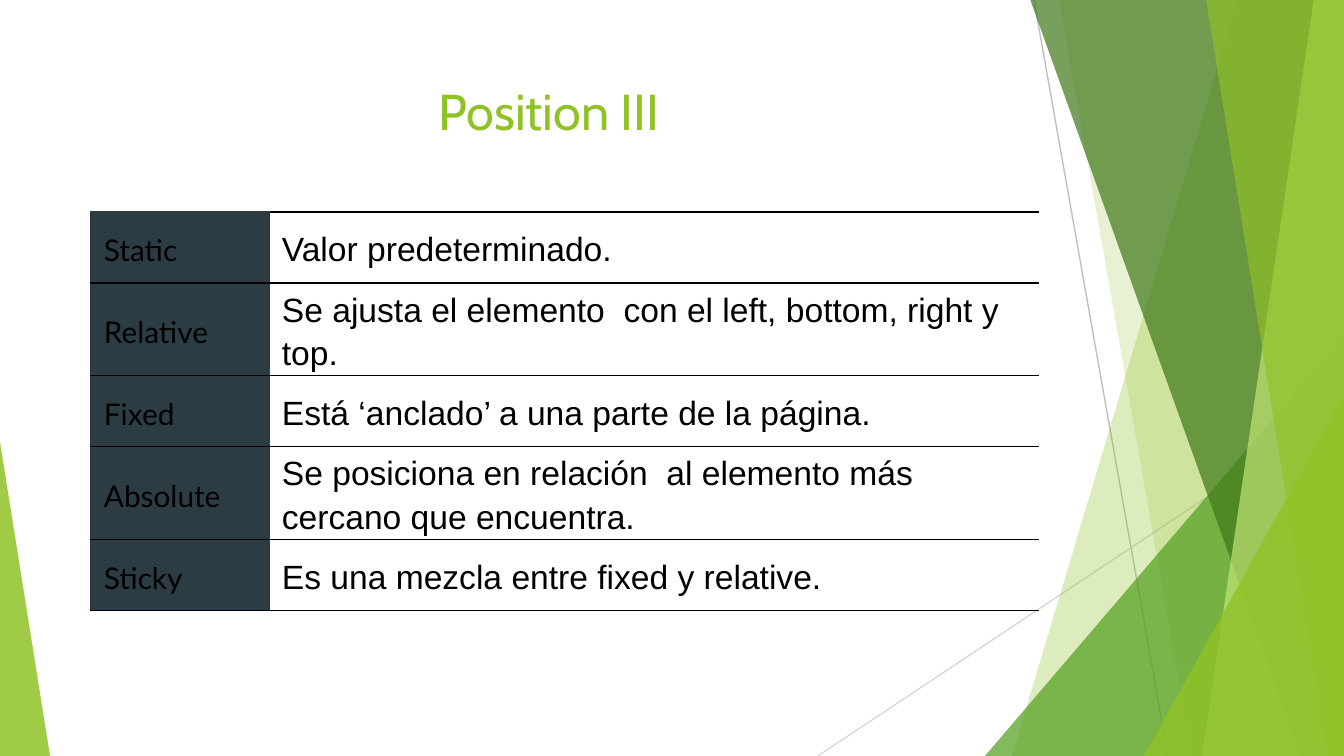
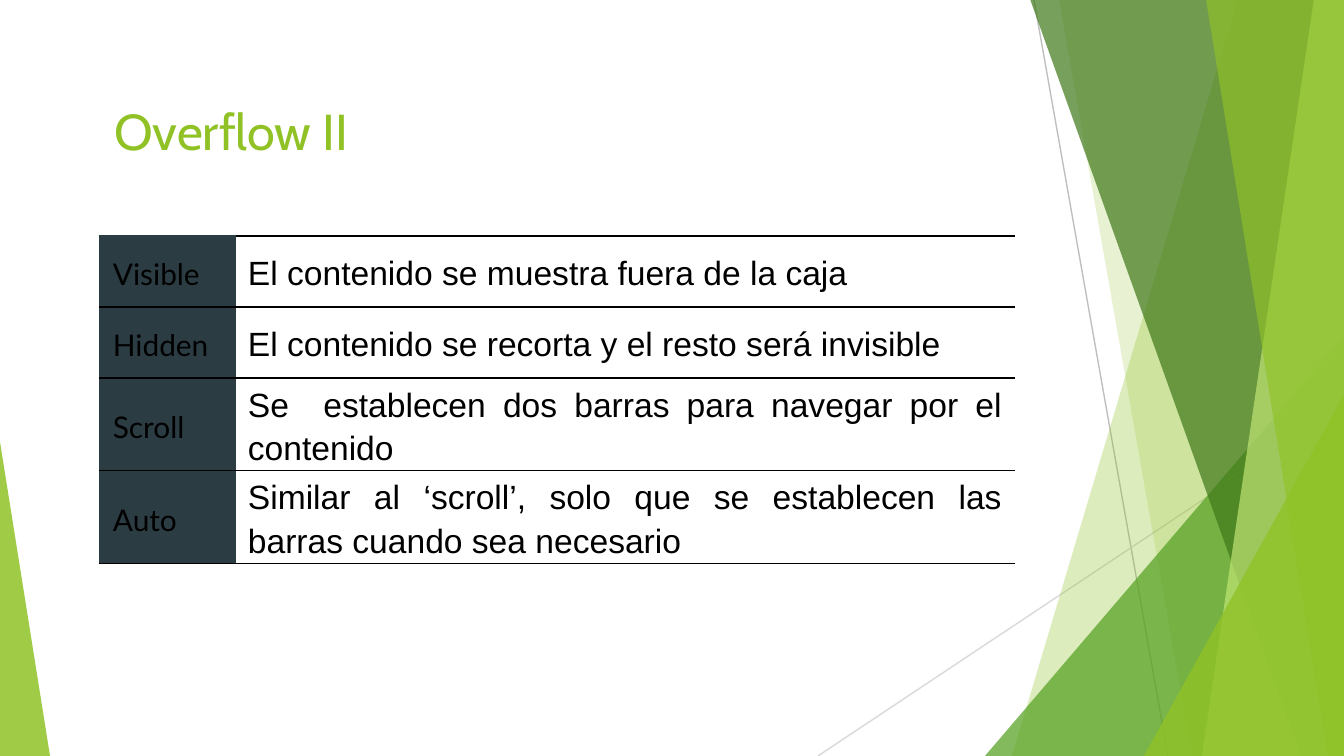
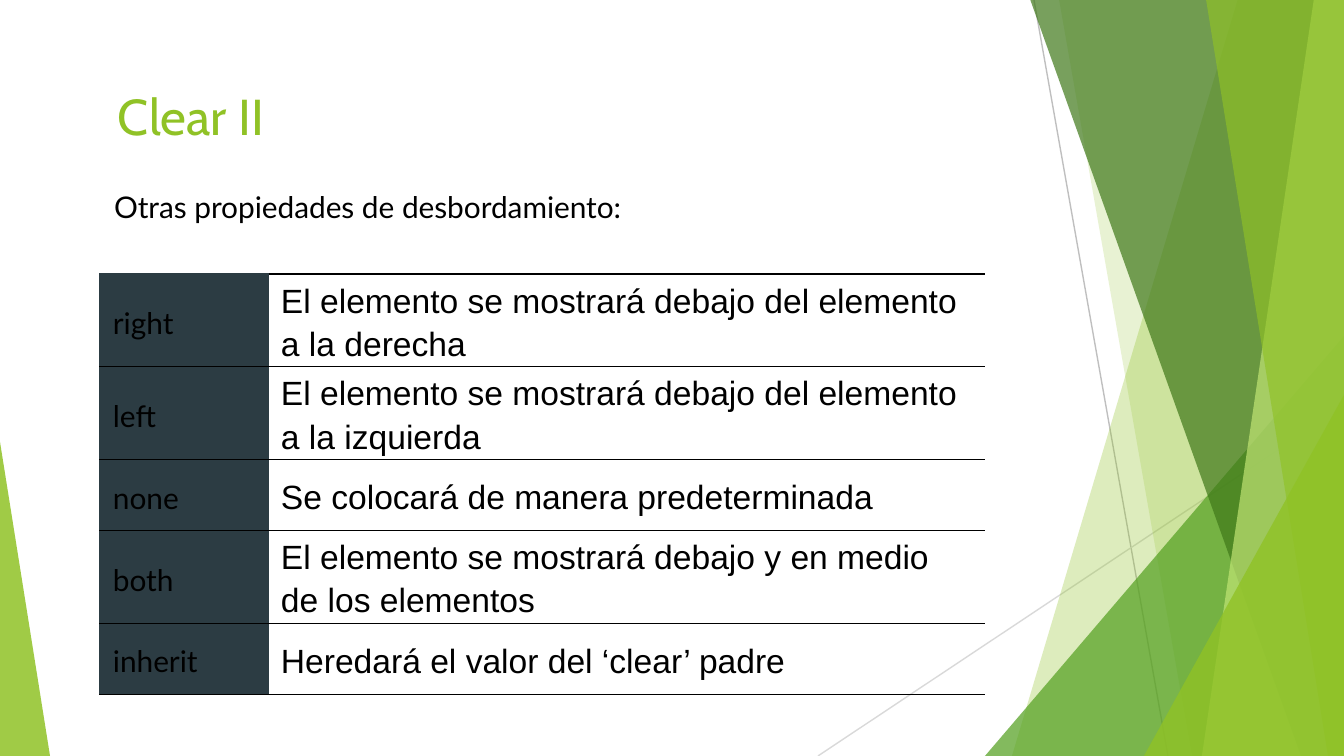
from lxml.etree import SubElement
from pptx import Presentation
from pptx.dml.color import RGBColor
from pptx.enum.shapes import MSO_CONNECTOR, MSO_SHAPE
from pptx.enum.text import MSO_ANCHOR, PP_ALIGN as Align
from pptx.oxml import parse_xml
from pptx.oxml.ns import nsdecls, qn
from pptx.util import Pt

EMU_PER_PX = 914400 / 134.4
SLIDE_WIDTH, SLIDE_HEIGHT = 1344, 756
INSET = 13
ROW_HEIGHT = 71
BORDER_WIDTH = Pt(0.75)

BLACK = RGBColor(0x00, 0x00, 0x00)
SLATE = RGBColor(0x2C, 0x3C, 0x43)
LIME = RGBColor(0x90, 0xC2, 0x26)
PALE_LIME = RGBColor(0xC0, 0xE4, 0x74)
GREEN = RGBColor(0x54, 0xA0, 0x21)
DARK_GREEN = RGBColor(0x3F, 0x78, 0x19)
GRAY = RGBColor(0xBF, 0xBF, 0xBF)
LIGHT_GRAY = RGBColor(0xD9, 0xD9, 0xD9)

TITLE_FONT, LABEL_FONT, BODY_FONT = "Cabin", "Lato", "Arial"

POSITION_ROWS = [
    ("Static", "Valor predeterminado."),
    ("Relative", "Se ajusta el elemento  con el left, bottom, right y top."),
    ("Fixed", "Está ‘anclado’ a una parte de la página."),
    ("Absolute", "Se posiciona en relación  al elemento más cercano que encuentra."),
    ("Sticky", "Es una mezcla entre fixed y relative."),
]
OVERFLOW_ROWS = [
    ("Visible", "El contenido se muestra fuera de la caja"),
    ("Hidden", "El contenido se recorta y el resto será invisible"),
    ("Scroll", "Se  establecen dos barras para navegar por el contenido"),
    ("Auto", "Similar al ‘scroll’, solo que se establecen las barras cuando sea necesario"),
]
CLEAR_ROWS = [
    ("right", "El elemento se mostrará debajo del elemento a la derecha"),
    ("left", "El elemento se mostrará debajo del elemento a la izquierda"),
    ("none", "Se colocará de manera predeterminada"),
    ("both", "El elemento se mostrará debajo y en medio de los elementos"),
    ("inherit", "Heredará el valor del ‘clear’ padre"),
]


def px(*lengths):
    return [round(length * EMU_PER_PX) for length in lengths]


def style_paragraph(paragraph, font_name, size, color, align=Align.LEFT):
    paragraph.alignment = align
    paragraph.font.name = font_name
    paragraph.font.size = Pt(size)
    paragraph.font.color.rgb = color


def paint(shape, color, opacity):
    shape.shadow.inherit = False
    shape.fill.solid()
    shape.fill.fore_color.rgb = color
    shape.line.fill.background()
    color_element = next(shape._element.spPr.iter(qn("a:srgbClr")))
    SubElement(color_element, qn("a:alpha"), val=str(opacity * 1000))


def add_line(slide, start, end, color):
    line = slide.shapes.add_connector(MSO_CONNECTOR.STRAIGHT, *px(*start, *end))
    line.line.color.rgb = color
    line.line.width = BORDER_WIDTH
    SubElement(line._element.spPr, qn("a:effectLst"))


def add_right_band(slide, top_left, bottom_left, color, opacity):
    builder = slide.shapes.build_freeform(top_left, -1, scale=EMU_PER_PX)
    builder.add_line_segments(
        [(SLIDE_WIDTH, -1), (SLIDE_WIDTH, SLIDE_HEIGHT), (bottom_left, SLIDE_HEIGHT)]
    )
    paint(builder.convert_to_shape(), color, opacity)


def add_corner(slide, left, top, width, apex, color, opacity):
    box = px(left, top, width, SLIDE_HEIGHT - top)
    triangle = slide.shapes.add_shape(MSO_SHAPE.ISOSCELES_TRIANGLE, *box)
    triangle.adjustments[0] = apex
    paint(triangle, color, opacity)


def add_decoration(slide):
    add_line(slide, (1034, 0), (1168, SLIDE_HEIGHT), GRAY)
    add_line(slide, (SLIDE_WIDTH, 406), (818, SLIDE_HEIGHT), LIGHT_GRAY)
    add_right_band(slide, 1238, 1012, LIME, 30)
    add_right_band(slide, 1059, 1192, LIME, 20)
    add_corner(slide, 985, 336, 359, 1, GREEN, 72)
    add_right_band(slide, 1030, 1301, DARK_GREEN, 70)
    add_right_band(slide, 1314, 1202, PALE_LIME, 70)
    add_right_band(slide, 1206, 1328, LIME, 65)
    add_corner(slide, 1144, 395, 200, 1, LIME, 80)
    add_corner(slide, 0, 442, 50, 0, LIME, 85)


def add_text(slide, box, text, font_name, size, color, align=Align.LEFT):
    frame = slide.shapes.add_textbox(*px(*box)).text_frame
    frame.word_wrap = True
    frame.margin_left, frame.margin_top, frame.margin_right, frame.margin_bottom = px(*[INSET] * 4)
    frame.text = text
    style_paragraph(frame.paragraphs[0], font_name, size, color, align)


def add_titled_slide(presentation, title, box, align=Align.LEFT):
    slide = presentation.slides.add_slide(presentation.slide_layouts[6])
    add_decoration(slide)
    add_text(slide, box, title, TITLE_FONT, 27, LIME, align)
    return slide


def set_borders(cell, left, right, top, bottom):
    properties = cell._tc.get_or_add_tcPr()
    sides = {"lnL": left, "lnR": right, "lnT": top, "lnB": bottom}
    for index, (tag, color) in enumerate(sides.items()):
        fill = f'<a:solidFill><a:srgbClr val="{color}"/></a:solidFill>' if color else "<a:noFill/>"
        border = f'<a:{tag} {nsdecls("a")} w="{BORDER_WIDTH}">{fill}</a:{tag}>'
        properties.insert(index, parse_xml(border))


def fill_cell(cell, text, font_name, size, align=Align.LEFT):
    cell.vertical_anchor = MSO_ANCHOR.MIDDLE
    cell.margin_left, cell.margin_right = px(INSET, INSET)
    cell.margin_top = cell.margin_bottom = 0
    cell.text = text
    paragraph = cell.text_frame.paragraphs[0]
    style_paragraph(paragraph, font_name, size, BLACK, align)
    paragraph.line_spacing = 1.15
    return paragraph


def add_value_table(slide, left, top, column_widths, rows, align=Align.LEFT):
    box = px(left, top, sum(column_widths), ROW_HEIGHT * len(rows))
    table = slide.shapes.add_table(len(rows), 2, *box).table
    table.first_row = table.horz_banding = False
    for column, width in zip(table.columns, px(*column_widths)):
        column.width = width
    for index, (label, description) in enumerate(rows):
        label_cell, description_cell = table.cell(index, 0), table.cell(index, 1)
        fill_cell(label_cell, label, LABEL_FONT, 16)
        label_cell.fill.solid()
        label_cell.fill.fore_color.rgb = SLATE
        set_borders(label_cell, SLATE, SLATE, BLACK if index else SLATE, BLACK)
        paragraph = fill_cell(description_cell, description, BODY_FONT, 18, align)
        paragraph.space_after = Pt(16)
        description_cell.fill.background()
        set_borders(description_cell, SLATE, None, BLACK, BLACK)


def main():
    presentation = Presentation()
    presentation.slide_width, presentation.slide_height = px(SLIDE_WIDTH, SLIDE_HEIGHT)

    position = add_titled_slide(presentation, "Position III", (75, 67, 948, 145), Align.CENTER)
    add_value_table(position, 91, 212, (178, 770), POSITION_ROWS)

    overflow = add_titled_slide(presentation, "Overflow II", (101, 87, 1134, 81))
    add_value_table(overflow, 100, 236, (135, 780), OVERFLOW_ROWS, Align.JUSTIFY)

    clear = add_titled_slide(presentation, "Clear II", (105, 72, 1134, 81))
    subtitle = "Otras propiedades de desbordamiento:"
    add_text(clear, (101, 176, 1114, 98), subtitle, LABEL_FONT, 16, BLACK)
    add_value_table(clear, 100, 274, (168, 717), CLEAR_ROWS)

    presentation.save("out.pptx")


if __name__ == "__main__":
    main()
